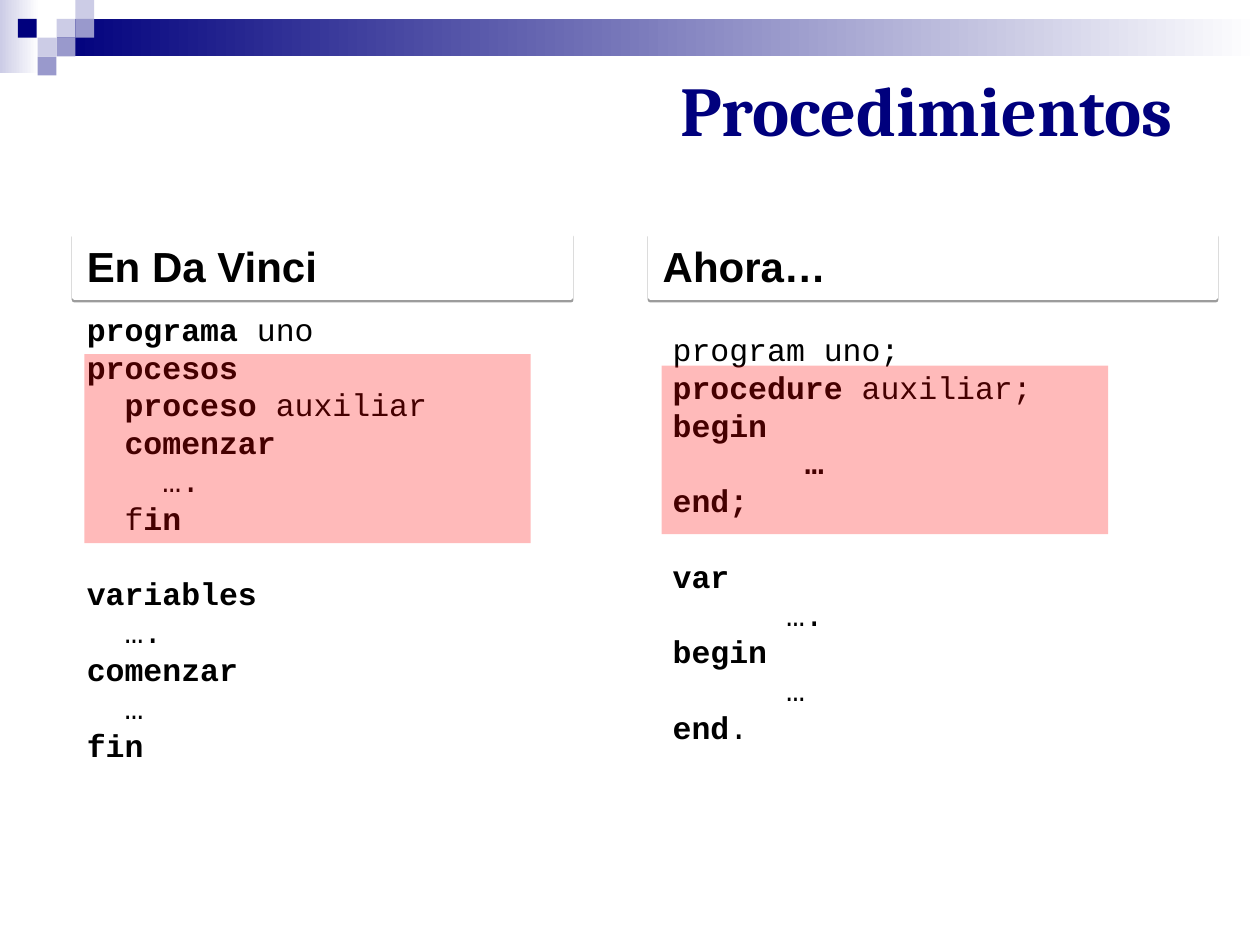
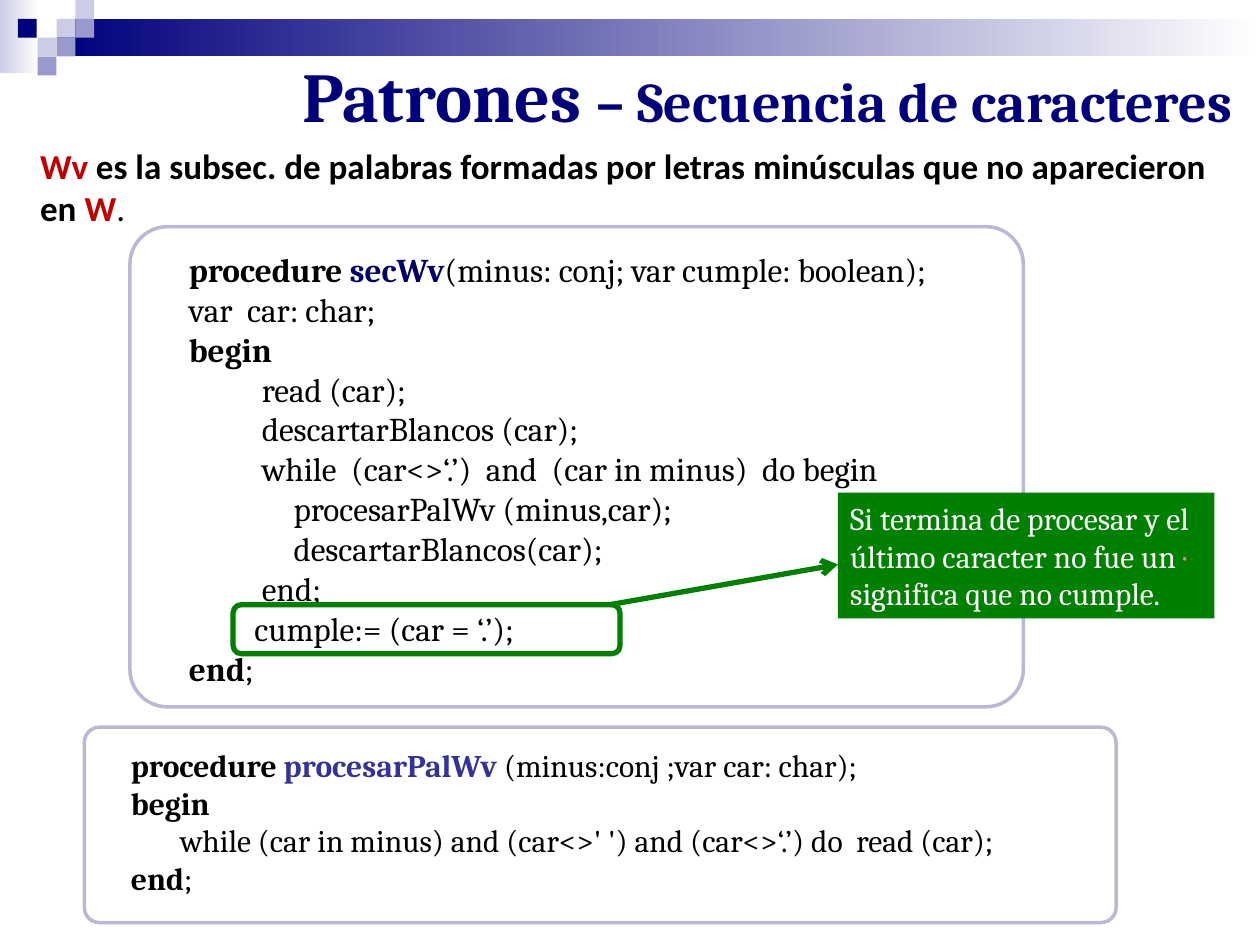
from lxml import etree
from pptx import Presentation
from pptx.dml.color import RGBColor
from pptx.enum import shapes, text
from pptx.oxml.ns import qn
from pptx.util import Cm, Pt

NAVY = RGBColor(0x00, 0x00, 0x7D)
LILAC = RGBColor(0xCC, 0xCC, 0xE6)
VIOLET = RGBColor(0x99, 0x99, 0xCC)
FRAME = RGBColor(0xB9, 0xB9, 0xD5)
WHITE = RGBColor(0xFF, 0xFF, 0xFF)
BLACK = RGBColor(0x00, 0x00, 0x00)
RED = RGBColor(0xFF, 0x00, 0x00)
DARK_RED = RGBColor(0xC0, 0x00, 0x00)
GREEN = RGBColor(0x00, 0x80, 0x00)
CORAL = RGBColor(0xFF, 0x7C, 0x80)
INDIGO = RGBColor(0x33, 0x33, 0x99)
DEEP_BLUE = RGBColor(0x00, 0x00, 0x66)

# Content: *bold*, |accent|; an empty line widens the gap before the next one.
# Boxes are left, top, width, height in cm.
COLUMNS = [
    dict(
        heading="*En Da Vinci*",
        heading_box=(1.5, 4.72, 10.01, 1.27),
        code_box=(1.5, 6.12, 10.01, 9.4),
        highlight=(1.7, 7.14, 9, 3.81),
        code=[
            "*programa* uno",
            "*procesos*",
            "  *proceso* auxiliar",
            "  *comenzar*",
            "    ….",
            "  f*in*",
            "",
            "*variables*",
            "  ….",
            "*comenzar*",
            "  …",
            "*fin*",
        ],
    ),
    dict(
        heading="*Ahora…*",
        heading_box=(13.11, 4.72, 11.4, 1.27),
        code_box=(13.31, 6.53, 10.44, 8.64),
        highlight=(13.34, 7.37, 9, 3.4),
        code=[
            "program uno;",
            "*procedure* auxiliar;",
            "*begin*",
            "*       …*",
            "*end;*",
            "",
            "*var*",
            "      ….",
            "*begin*",
            "      …",
            "*end*.",
        ],
    ),
]

PROCEDURES = [
    dict(
        frame=(1.7, 14.66, 20.8, 3.94),
        box=(2.39, 14.91, 19.71, 3.3),
        size=18, accent=INDIGO, tabs=[0.99],
        code=[
            "*procedure |procesarPalWv|* (minus:conj ;var car: char);",
            "*begin*",
            "\twhile (car in minus) and (car<>' ') and (car<>‘.’) do  read (car);",
            "*end*;",
        ],
    ),
    dict(
        frame=(2.62, 4.57, 18.01, 9.68),
        box=(3.56, 4.9, 16.66, 9.09),
        size=19, accent=DEEP_BLUE, tabs=[1.47, 2.11],
        code=[
            "*procedure| secWv|*(minus: conj; var cumple: boolean);",
            "var  car: char;",
            "*begin*",
            "\tread (car);",
            "\tdescartarBlancos (car);",
            "\twhile  (car<>‘.’)  and  (car in minus)  do begin",
            "\t\tprocesarPalWv (minus,car);",
            "\t\tdescartarBlancos(car);",
            "\tend;",
            "         cumple:= (car = ‘.’);",
            "*end*;",
        ],
    ),
]

DEFINITION = ("*|Wv |es la subsec. de palabras formadas por letras minúsculas "
              "que no aparecieron en |W|*.")
REMARK = "Si termina de procesar y el último caracter no fue un |·| significa que no cumple."

# Corner mosaic: column, row, colour
CELL = 0.38
MOSAIC = [(3, 1, LILAC), (4, 0, LILAC), (4, 1, VIOLET), (2, 2, LILAC),
          (0.95, 1, NAVY), (3, 2, VIOLET), (2, 3, VIOLET)]


def add_element(parent, tag, **attributes):
    return etree.SubElement(parent, qn(tag), attributes)


def write(shape, lines, *, size, font, color=BLACK, accent=None, accent_size=None,
          align=text.PP_ALIGN.LEFT, anchor=text.MSO_ANCHOR.TOP, tabs=(), leading=1.2):
    frame = shape.text_frame
    frame.word_wrap = True
    frame.vertical_anchor = anchor
    bold, gap, first = False, False, True
    for line in lines:
        if not line:
            gap = True
            continue
        paragraph = frame.paragraphs[0] if first else frame.add_paragraph()
        first = False
        if tabs:
            stops = add_element(paragraph._p.get_or_add_pPr(), "a:tabLst")
            for stop in tabs:
                add_element(stops, "a:tab", pos=str(Cm(stop)), algn="l")
        paragraph.alignment = align
        if leading:
            paragraph.line_spacing = Pt(size * leading)
        if gap:
            paragraph.space_before = Pt(size * 1.2)
            gap = False
        for i, part in enumerate(line.split("|")):
            accented = i % 2 == 1
            for j, piece in enumerate(part.split("*")):
                if j:
                    bold = not bold
                if piece:
                    run = paragraph.add_run()
                    run.text = piece
                    run.font.name = font
                    run.font.bold = bold
                    run.font.size = Pt(accent_size if accented and accent_size else size)
                    run.font.color.rgb = accent if accented and accent else color


def add_text(slide, box, lines, **style):
    textbox = slide.shapes.add_textbox(*map(Cm, box))
    write(textbox, lines, **style)
    return textbox


def add_box(slide, box, fill=None, line=None, weight=2, radius=None):
    kind = shapes.MSO_SHAPE.RECTANGLE if radius is None else shapes.MSO_SHAPE.ROUNDED_RECTANGLE
    shape = slide.shapes.add_shape(kind, *map(Cm, box))
    shape.shadow.inherit = False
    if radius is not None:
        shape.adjustments[0] = radius
    if fill is None:
        shape.fill.background()
    elif isinstance(fill, tuple) and not isinstance(fill, RGBColor):
        shape.fill.gradient()
        shape.fill.gradient_angle = 0
        for stop, color in zip(shape.fill.gradient_stops, fill):
            stop.color.rgb = color
    else:
        shape.fill.solid()
        shape.fill.fore_color.rgb = fill
    if line is None:
        shape.line.fill.background()
    else:
        shape.line.color.rgb = line
        shape.line.width = Pt(weight)
    return shape


def add_heading(slide, box, heading):
    shape = add_box(slide, box, WHITE, WHITE, 3)
    effects = shape._element.spPr.find(qn("a:effectLst"))
    shadow = add_element(effects, "a:outerShdw", dist=str(Pt(1.6)), dir="5400000",
                         algn="ctr", rotWithShape="0")
    tint = add_element(shadow, "a:srgbClr", val=str(BLACK))
    add_element(tint, "a:alpha", val="38000")
    write(shape, [heading], size=24, font="Arial")


def add_highlight(slide, box):
    shape = add_box(slide, box, RED)
    tint = shape._element.spPr.find(qn("a:solidFill"))[0]
    add_element(tint, "a:alpha", val="27000")


def add_arrow(slide, start, end):
    arrow = slide.shapes.add_connector(shapes.MSO_CONNECTOR.STRAIGHT,
                                       *map(Cm, start + end))
    arrow.line.color.rgb = GREEN
    arrow.line.width = Pt(3)
    add_element(arrow.line._get_or_add_ln(), "a:tailEnd", type="arrow")
    add_element(arrow._element.spPr, "a:effectLst")


def add_title(slide, box, title, anchor):
    return add_text(slide, box, [title], size=40, accent_size=32, font="Cambria", color=NAVY,
                    align=text.PP_ALIGN.RIGHT, anchor=anchor, leading=None)


def new_slide(deck):
    slide = deck.slides.add_slide(deck.slide_layouts[6])
    add_box(slide, (0, 0, 0.79, 1.47), (LILAC, WHITE))
    add_box(slide, (3 * CELL, CELL, 25.4 - 3 * CELL, 2 * CELL), (NAVY, WHITE))
    for column, row, color in MOSAIC:
        add_box(slide, (column * CELL, row * CELL, CELL, CELL), color)
    return slide


def build_comparison(deck):
    slide = new_slide(deck)
    add_title(slide, (2.29, 0.91, 21.59, 2.54), "*Procedimientos*", text.MSO_ANCHOR.MIDDLE)
    for column in COLUMNS:
        add_text(slide, column["code_box"], column["code"], size=18, font="Courier New")
        add_heading(slide, column["heading_box"], column["heading"])
        add_highlight(slide, column["highlight"])


def build_pattern(deck):
    slide = new_slide(deck)
    # Framed procedures
    for procedure in PROCEDURES:
        add_box(slide, procedure["frame"], WHITE, FRAME, radius=0.078)
        add_text(slide, procedure["box"], procedure["code"], size=procedure["size"],
                 font="Cambria", accent=procedure["accent"], tabs=procedure["tabs"])
    # Title and definition
    title = add_title(slide, (1.3, 0.41, 23.8, 2.59),
                      "*Patrones |– Secuencia de caracteres|*", text.MSO_ANCHOR.BOTTOM)
    title.text_frame.margin_bottom = Cm(0.25)
    add_text(slide, (0.56, 2.79, 24.71, 1.96), [DEFINITION], size=20, font="Calibri",
             accent=DARK_RED)
    # Marked line and its remark
    add_box(slide, (4.7, 12.19, 7.8, 0.99), line=GREEN, weight=3, radius=0.167)
    remark = add_box(slide, (16.89, 9.93, 7.59, 2.54), GREEN)
    write(remark, [REMARK], size=18, font="Cambria", color=WHITE, accent=CORAL)
    add_arrow(slide, (12.29, 12.19), (16.89, 11.38))


def main():
    deck = Presentation()
    deck.slide_width, deck.slide_height = Cm(25.4), Cm(19.05)
    build_comparison(deck)
    build_pattern(deck)
    deck.save("out.pptx")


if __name__ == "__main__":
    main()
